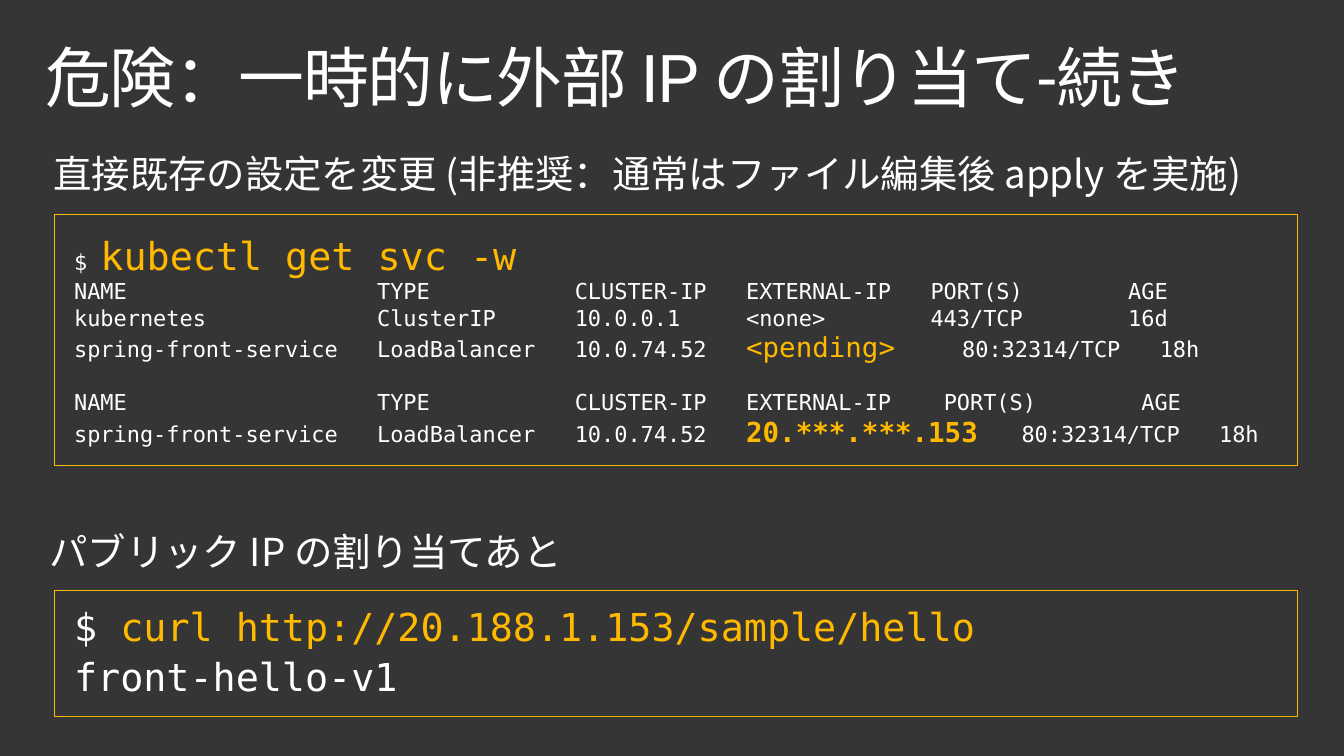
from lxml import etree
from pptx import Presentation
from pptx.dml.color import RGBColor
from pptx.enum import shapes, text
from pptx.oxml import ns
from pptx.util import Pt

COLORS = {"ground": "353535", "plain": "FFFFFF", "accent": "FFB900"}
MONO, SANS, TITLE = "DejaVu Sans Mono", "Noto Sans CJK JP", "Roboto"
STYLES = {
    "title": ("plain", {"name": TITLE, "size": Pt(48)}),
    "heading": ("plain", {"name": SANS, "size": Pt(28)}),
    "output": ("plain", {"name": MONO, "size": Pt(16)}),
    "large": ("plain", {"name": MONO, "size": Pt(28)}),
    "command": ("accent", {"name": MONO, "size": Pt(28)}),
    "status": ("accent", {"name": MONO, "size": Pt(20)}),
    "address": ("accent", {"name": MONO, "size": Pt(20), "bold": True}),
}
INSETS = {"margin_left": Pt(14.4), "margin_right": Pt(14.4),
          "margin_top": Pt(11.52), "margin_bottom": Pt(11.52), "word_wrap": True}
TITLE_INSETS = {"margin_left": Pt(11.52), "margin_right": Pt(11.52),
                "margin_top": Pt(7.2), "margin_bottom": Pt(7.2), "word_wrap": True}
LOOSE = {"line_spacing": 0.9, "space_after": Pt(6)}
CHAR = 9.6


def assign(target, values):
    """Set every attribute named in values on target."""
    for name, value in values.items():
        setattr(target, name, value)


class Deck:
    """Holds the style and the current slide."""

    def __init__(self, width, height):
        """Open a slide of the given size with a dark ground."""
        self.show = Presentation()
        assign(self.show, {"slide_width": Pt(width), "slide_height": Pt(height)})
        self.slide = self.show.slides.add_slide(self.show.slide_layouts[5])
        ground = self.slide.background.fill
        ground.solid()
        ground.fore_color.rgb = self.color("ground")

    def color(self, key):
        """Return the named colour."""
        return RGBColor.from_string(COLORS[key])

    def fill_line(self, paragraph, pieces, spacing):
        """Fill a paragraph with styled runs."""
        assign(paragraph, {"alignment": text.PP_ALIGN.LEFT, **spacing})
        for words, style in pieces:
            run = paragraph.add_run()
            run.text = words
            color, values = STYLES[style]
            assign(run.font, values)
            run.font.color.rgb = self.color(color)

    def title(self, words, left, top, width, height):
        """Place the slide title."""
        title = self.slide.shapes.title
        assign(title, {"left": Pt(left), "top": Pt(top), "width": Pt(width), "height": Pt(height)})
        frame = title.text_frame
        assign(frame, {**TITLE_INSETS, "auto_size": text.MSO_AUTO_SIZE.NONE,
                       "vertical_anchor": text.MSO_ANCHOR.MIDDLE})
        line = frame.paragraphs[0]
        self.fill_line(line, [(words, "title")], {"line_spacing": 0.9})
        line.runs[0]._r.get_or_add_rPr().set("spc", "-100")

    def heading(self, words, left, top):
        """Add a one-line heading."""
        heading = self.slide.shapes.add_textbox(Pt(left), Pt(top), Pt(956.16), Pt(54))
        assign(heading.text_frame, INSETS)
        self.fill_line(heading.text_frame.paragraphs[0], [(words, "heading")], LOOSE)

    def console(self, top, height, lines):
        """Add an outlined terminal with (pieces, spacing, tab columns) lines."""
        console = self.slide.shapes.add_shape(
            shapes.MSO_SHAPE.RECTANGLE, Pt(39.6), Pt(top), Pt(905.76), Pt(height))
        console.shadow.inherit = False
        console.fill.background()
        console.line.color.rgb = self.color("accent")
        console.line.width = Pt(0.75)
        frame = console.text_frame
        assign(frame, {**INSETS, "vertical_anchor": text.MSO_ANCHOR.MIDDLE})
        for index, (pieces, spacing, columns) in enumerate(lines):
            line = frame.add_paragraph() if index else frame.paragraphs[0]
            self.fill_line(line, pieces, spacing)
            if columns:
                stops = etree.SubElement(line._p.get_or_add_pPr(), ns.qn("a:tabLst"))
                for column in columns:
                    etree.SubElement(stops, ns.qn("a:tab"), pos=str(Pt(column * CHAR)), algn="l")


def row(port, cells, style="output", spacing=None):
    """Return a service line whose fourth cell has its own style."""
    pieces = [("\t".join(cells[:3]) + "\t", "output"), (cells[3], style),
              ("\t" + "\t".join(cells[4:]), "output")]
    return pieces, spacing or {}, (23, 38, 51, port, port + 15)


def main():
    """Build the slide and save it."""
    header = ("NAME", "TYPE", "CLUSTER-IP", "EXTERNAL-IP", "PORT(S)", "AGE")
    front = ("spring-front-service", "LoadBalancer", "10.0.74.52")
    ports = ("80:32314/TCP", "18h")
    deck = Deck(979.2, 550.8)
    deck.title("危険：一時的に外部 IP の割り当て-続き", 21.6, 23.04, 936, 72)
    deck.heading("直接既存の設定を変更 (非推奨：通常はファイル編集後 apply を実施)", 24.48, 101.52)
    deck.console(156.24, 182.88, [
        ([("$ ", "output"), ("kubectl get svc -w", "command")], {}, ()),
        row(65, header),
        row(65, ("kubernetes", "ClusterIP", "10.0.0.1", "<none>", "443/TCP", "16d")),
        row(67.4, (*front, "<pending>", *ports), "status"),
        row(66, header, spacing={"space_before": Pt(18.6)}),
        row(71.9, (*front, "20.***.***.153", *ports), "address"),
    ])
    deck.heading("パブリック IP の割り当てあと", 21.6, 377.28)
    deck.console(430.56, 91.44, [
        ([("$ ", "large"), ("curl http://20.188.1.153/sample/hello", "command")], LOOSE, ()),
        ([("front-hello-v1", "large")], LOOSE, ()),
    ])
    deck.show.save("out.pptx")


if __name__ == "__main__":
    main()
